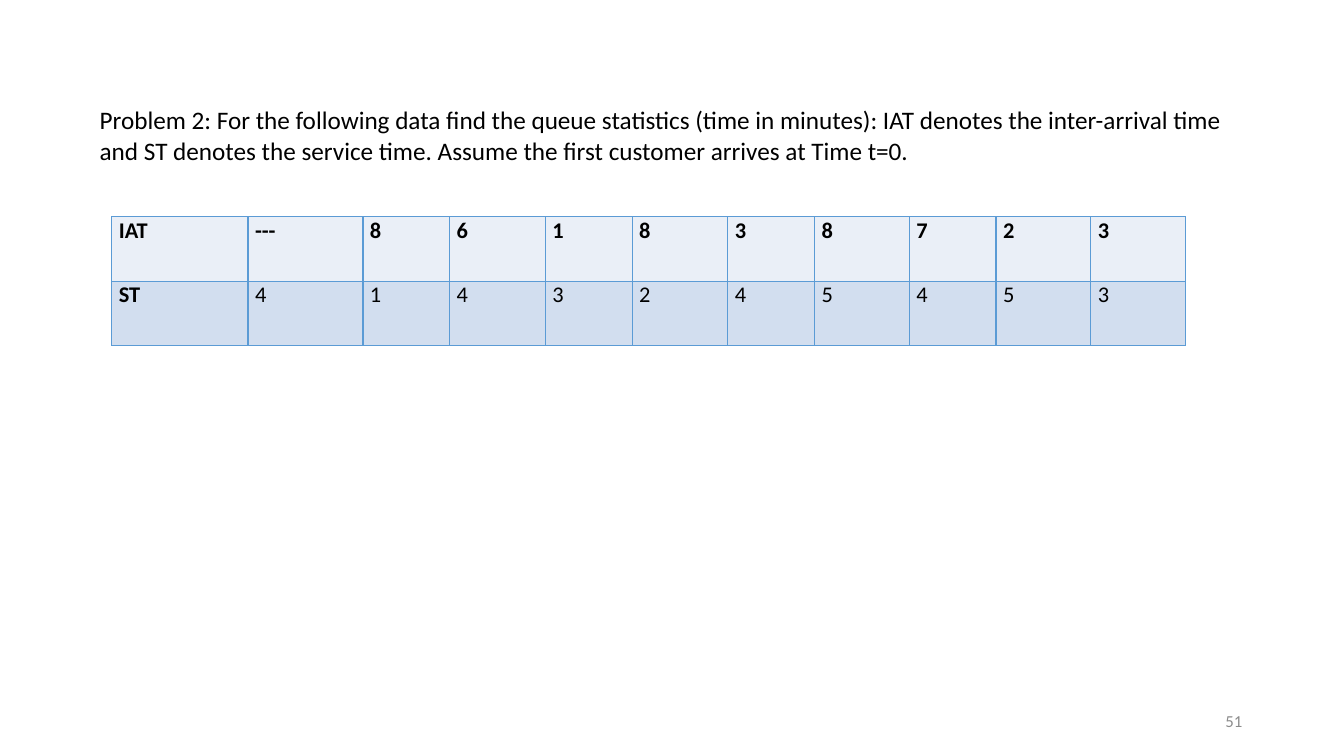
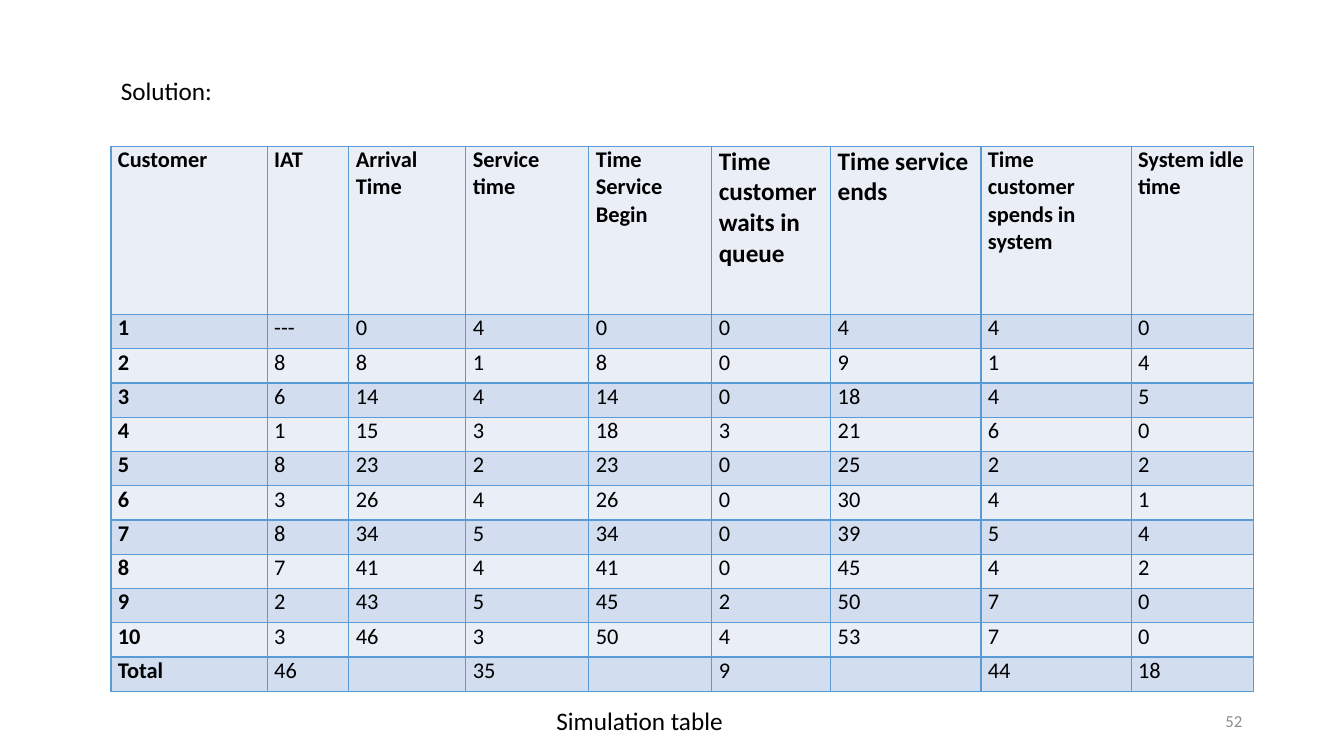
import pptx
import pptx.dml.color
import pptx.enum.text
import pptx.oxml
import pptx.oxml.ns
import pptx.util

FONT = "Calibri"
BLACK, GREY, BORDER = "000000", "8C8C8C", "5B9BD5"
BANDS = ("EAEFF7", "D2DEEF")
TEXT_SIZE, CELL_SIZE, NUMBER_SIZE = 18, 16, 12
CELL_INSET = 7

PROBLEM = (
    "Problem 2: For the following data find the queue statistics (time in minutes): "
    "IAT denotes the inter-arrival time and ST denotes the service time. "
    "Assume the first customer arrives at Time t=0."
)
DATA_ROWS = [
    ("IAT", "---", 8, 6, 1, 8, 3, 8, 7, 2, 3),
    ("ST", 4, 1, 4, 3, 2, 4, 5, 4, 5, 3),
]
DATA_COLUMNS = (135, 114, 86, 95, 86, 95, 86, 94, 86, 94, 94)
DATA_HEIGHTS = (64, 64)

SIMULATION_ROWS = [
    ("Customer", "IAT", "Arrival Time", "Service time", "Time Service Begin",
     "Time customer waits in queue", "Time service ends",
     "Time customer spends in system", "System idle time"),
    (1, "---", 0, 4, 0, 0, 4, 4, 0),
    (2, 8, 8, 1, 8, 0, 9, 1, 4),
    (3, 6, 14, 4, 14, 0, 18, 4, 5),
    (4, 1, 15, 3, 18, 3, 21, 6, 0),
    (5, 8, 23, 2, 23, 0, 25, 2, 2),
    (6, 3, 26, 4, 26, 0, 30, 4, 1),
    (7, 8, 34, 5, 34, 0, 39, 5, 4),
    (8, 7, 41, 4, 41, 0, 45, 4, 2),
    (9, 2, 43, 5, 45, 2, 50, 7, 0),
    (10, 3, 46, 3, 50, 4, 53, 7, 0),
    ("Total", 46, "", 35, "", 9, "", 44, 18),
]
SIMULATION_COLUMNS = (155, 81, 116, 122, 122, 118, 149, 149, 121)
SIMULATION_HEIGHTS = (167,) + (34,) * 11
LARGE_HEADINGS = ("Time customer waits in queue", "Time service ends")


def px(length):
    """Convert px, 100 to the inch, into EMU."""
    return pptx.util.Emu(length * 9144)


def color(value):
    return pptx.dml.color.RGBColor.from_string(value)


def write(paragraph, text, size, fill=BLACK, bold=False):
    paragraph.text = str(text)
    font = paragraph.font
    font.name, font.size, font.bold = FONT, pptx.util.Pt(size), bold
    font.color.rgb = color(fill)


def add_text(slide, text, box, size=TEXT_SIZE, fill=BLACK, wrap=True):
    shape = slide.shapes.add_textbox(*map(px, box))
    shape.text_frame.word_wrap = wrap
    write(shape.text_frame.paragraphs[0], text, size, fill)
    return shape.text_frame


def add_numbered_slide(presentation, number):
    slide = presentation.slides.add_slide(presentation.slide_layouts[6])
    frame = add_text(slide, number, (942, 695, 300, 40), NUMBER_SIZE, GREY)
    frame.vertical_anchor = pptx.enum.text.MSO_ANCHOR.MIDDLE
    frame.paragraphs[0].alignment = pptx.enum.text.PP_ALIGN.RIGHT
    return slide


def add_borders(cell):
    properties = cell._tc.get_or_add_tcPr()
    for index, side in enumerate(("lnL", "lnR", "lnT", "lnB")):
        line = pptx.oxml.parse_xml(
            f'<a:{side} {pptx.oxml.ns.nsdecls("a")} w="{pptx.util.Pt(1)}">'
            f'<a:solidFill><a:srgbClr val="{BORDER}"/></a:solidFill></a:{side}>'
        )
        properties.insert(index, line)


def add_banded_table(slide, rows, left, top, widths, heights):
    """Add a table whose first row and first column are bold."""
    box = map(px, (left, top, sum(widths), sum(heights)))
    table = slide.shapes.add_table(len(rows), len(widths), *box).table
    table.first_row = table.horz_banding = False
    for column, width in zip(table.columns, widths):
        column.width = px(width)
    for row_index, (row, height) in enumerate(zip(rows, heights)):
        table.rows[row_index].height = px(height)
        for column_index, value in enumerate(row):
            cell = table.cell(row_index, column_index)
            cell.margin_left = cell.margin_right = px(CELL_INSET)
            cell.margin_top = cell.margin_bottom = 0
            cell.fill.solid()
            cell.fill.fore_color.rgb = color(BANDS[row_index % 2])
            add_borders(cell)
            size = TEXT_SIZE if value in LARGE_HEADINGS else CELL_SIZE
            bold = row_index == 0 or column_index == 0
            write(cell.text_frame.paragraphs[0], value, size, bold=bold)


def main():
    presentation = pptx.Presentation()
    presentation.slide_width, presentation.slide_height = px(1333), px(750)

    slide = add_numbered_slide(presentation, 51)
    add_text(slide, PROBLEM, (89, 99, 1173, 71))
    add_banded_table(slide, DATA_ROWS, 111, 215, DATA_COLUMNS, DATA_HEIGHTS)

    slide = add_numbered_slide(presentation, 52)
    add_banded_table(slide, SIMULATION_ROWS, 110, 145, SIMULATION_COLUMNS, SIMULATION_HEIGHTS)
    add_text(slide, "Simulation table", (542, 695, 187, 40), wrap=False)
    add_text(slide, "Solution:", (110, 70, 118, 40), wrap=False)

    presentation.save("out.pptx")


if __name__ == "__main__":
    main()
